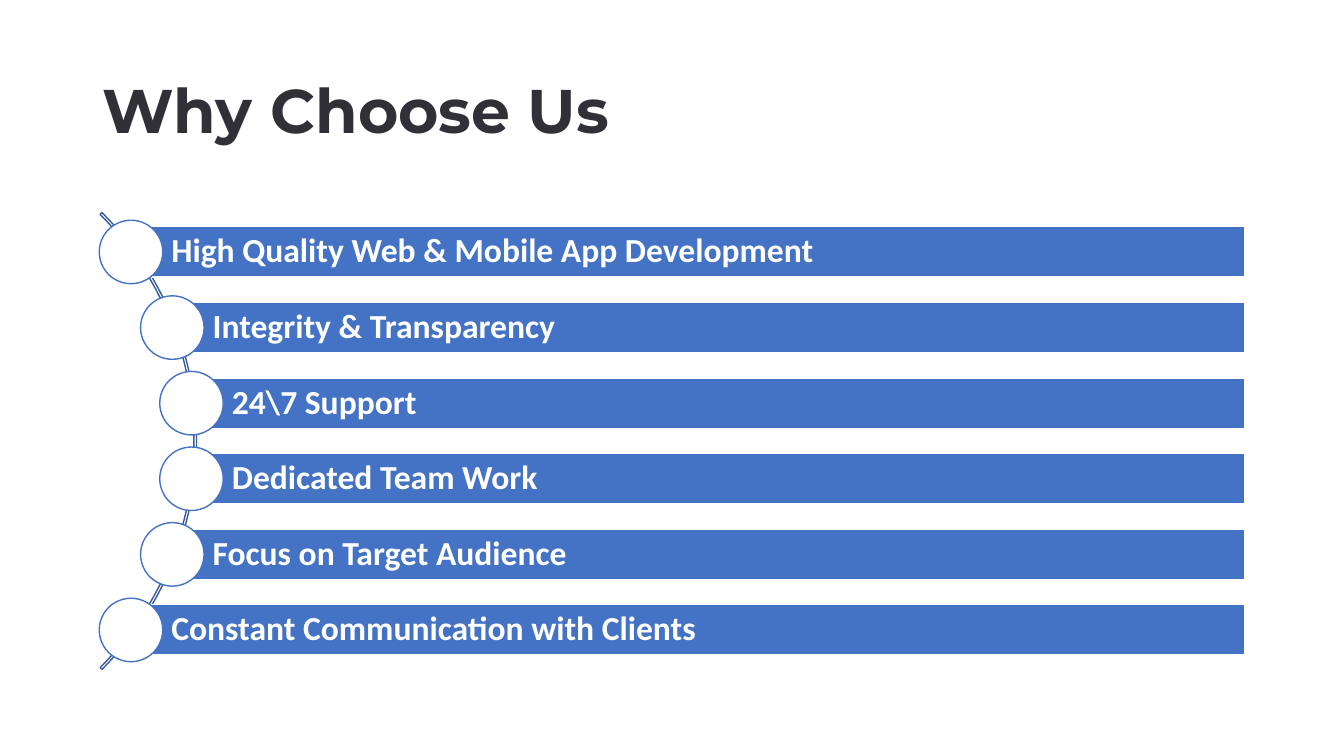
"""Build the "Why Choose Us" slide: six reasons set along a curve."""
from dataclasses import dataclass

from pptx import Presentation
from pptx.dml.color import RGBColor
from pptx.enum.shapes import MSO_SHAPE
from pptx.enum.text import MSO_ANCHOR, PP_ALIGN
from pptx.shapes.autoshape import Shape
from pptx.slide import Slide
from pptx.util import Pt

RECTANGLE = MSO_SHAPE.RECTANGLE
OVAL = MSO_SHAPE.OVAL
BLOCK_ARC = MSO_SHAPE.BLOCK_ARC
MIDDLE = MSO_ANCHOR.MIDDLE
LEFT = PP_ALIGN.LEFT

WHITE = "FFFFFF"
BLUE = "4472C4"
DARK_BLUE = "365B9D"
CHARCOAL = "303036"

BAR_TOP = 162
BAR_PITCH = 54
BAR_HEIGHT = 36
BAR_RIGHT = 889.2
CIRCLE_SIZE = 45.36
ARC_SIZE = 461.5
ARC_RIGHT = 140.4
ARC_ADJUSTMENTS = (189, 27, 0.004)


@dataclass(frozen=True)
class Box:
    """A place on the slide, in points."""
    left: float
    top: float
    width: float
    height: float


@dataclass(frozen=True)
class Reason:
    """One reason and the left edge of its bar, in points."""
    text: str
    left: float


@dataclass(frozen=True)
class TextStyle:
    """Font and insets (left, top, right, bottom) of a text."""
    font: str
    size: float
    color: str
    insets: tuple[float, float, float, float]


TITLE_BOX = Box(66, 28.8, 828, 104.4)
TITLE_STYLE = TextStyle("Montserrat", 44, CHARCOAL, (7.2, 3.6, 7.2, 3.6))
REASON_STYLE = TextStyle("Calibri", 24, WHITE, (28.8, 5, 5, 5))

REASONS = (
    Reason("High Quality Web & Mobile App Development", 93.6),
    Reason("Integrity & Transparency", 123.1),
    Reason("24\\7 Support", 136.8),
    Reason("Dedicated Team Work", 136.8),
    Reason("Focus on Target Audience", 123.1),
    Reason("Constant Communication with Clients", 93.6),
)


def color(value: str) -> RGBColor:
    """Turn a hex string into a colour."""
    return RGBColor.from_string(value)


def set_attributes(target: object, values: dict[str, object]) -> None:
    """Set each attribute named in the dict."""
    for name, value in values.items():
        setattr(target, name, value)


def lengths(box: Box) -> tuple[Pt, Pt, Pt, Pt]:
    """Return the four lengths of a box."""
    return Pt(box.left), Pt(box.top), Pt(box.width), Pt(box.height)


def add_shape(slide: Slide, kind: MSO_SHAPE, box: Box,
              fill: str | None, line: str) -> Shape:
    """Add a preset shape with a thin line and an optional fill."""
    shape = slide.shapes.add_shape(kind, *lengths(box))
    shape.shadow.inherit = False
    if fill is None:
        shape.fill.background()
    else:
        shape.fill.solid()
        shape.fill.fore_color.rgb = color(fill)
    shape.line.color.rgb = color(line)
    shape.line.width = Pt(1)
    return shape


def write_text(shape: Shape, text: str, style: TextStyle) -> None:
    """Write one bold, left-aligned paragraph into a shape."""
    frame = shape.text_frame
    left, top, right, bottom = (Pt(inset) for inset in style.insets)
    set_attributes(frame, {
        "word_wrap": True, "vertical_anchor": MIDDLE,
        "margin_left": left, "margin_top": top,
        "margin_right": right, "margin_bottom": bottom,
    })
    paragraph = frame.paragraphs[0]
    set_attributes(paragraph, {"alignment": LEFT, "line_spacing": 0.9})
    run = paragraph.add_run()
    run.text = text
    set_attributes(run.font, {"name": style.font, "size": Pt(style.size), "bold": True})
    run.font.color.rgb = color(style.color)


def add_arc(slide: Slide) -> None:
    """Add the thin arc, centred on the stack of bars."""
    middle = BAR_TOP + ((len(REASONS) - 1) * BAR_PITCH + BAR_HEIGHT) / 2
    box = Box(ARC_RIGHT - ARC_SIZE, middle - ARC_SIZE / 2, ARC_SIZE, ARC_SIZE)
    arc = add_shape(slide, BLOCK_ARC, box, None, DARK_BLUE)
    for index, value in enumerate(ARC_ADJUSTMENTS):
        arc.adjustments[index] = value


def add_reason(slide: Slide, reason: Reason, row: int) -> None:
    """Add a bar with its text and a circle centred on its left edge."""
    top = BAR_TOP + row * BAR_PITCH
    bar_box = Box(reason.left, top, BAR_RIGHT - reason.left, BAR_HEIGHT)
    bar = add_shape(slide, RECTANGLE, bar_box, BLUE, WHITE)
    write_text(bar, reason.text, REASON_STYLE)
    circle_box = Box(reason.left - CIRCLE_SIZE / 2,
                     top + (BAR_HEIGHT - CIRCLE_SIZE) / 2, CIRCLE_SIZE, CIRCLE_SIZE)
    add_shape(slide, OVAL, circle_box, WHITE, BLUE)


def main() -> None:
    """Build and save the presentation."""
    presentation = Presentation()
    set_attributes(presentation, {"slide_width": Pt(960), "slide_height": Pt(540)})
    slide = presentation.slides.add_slide(presentation.slide_layouts[6])
    title = slide.shapes.add_textbox(*lengths(TITLE_BOX))
    write_text(title, "Why Choose Us", TITLE_STYLE)
    add_arc(slide)
    for row, reason in enumerate(REASONS):
        add_reason(slide, reason, row)
    presentation.save("out.pptx")


main()
